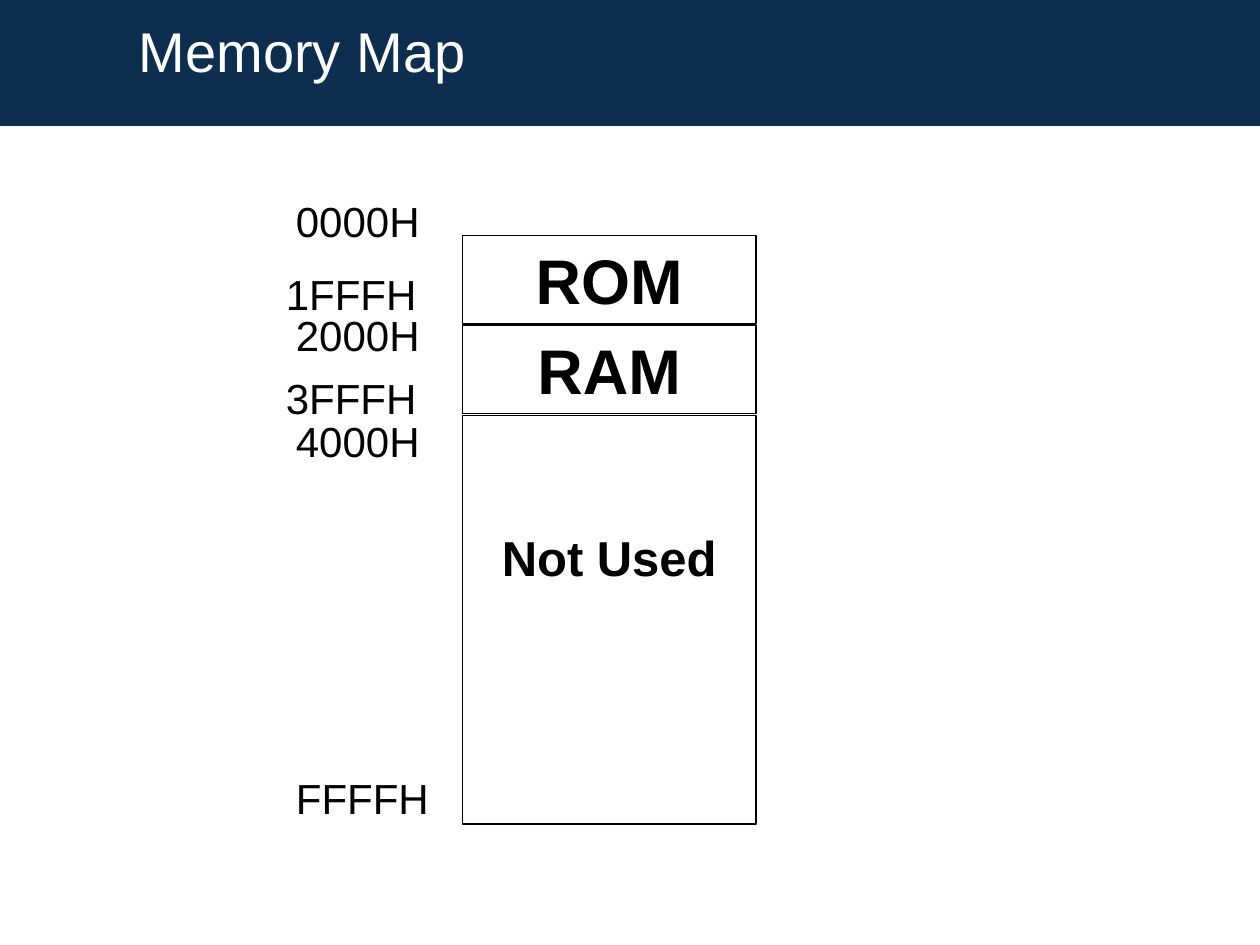
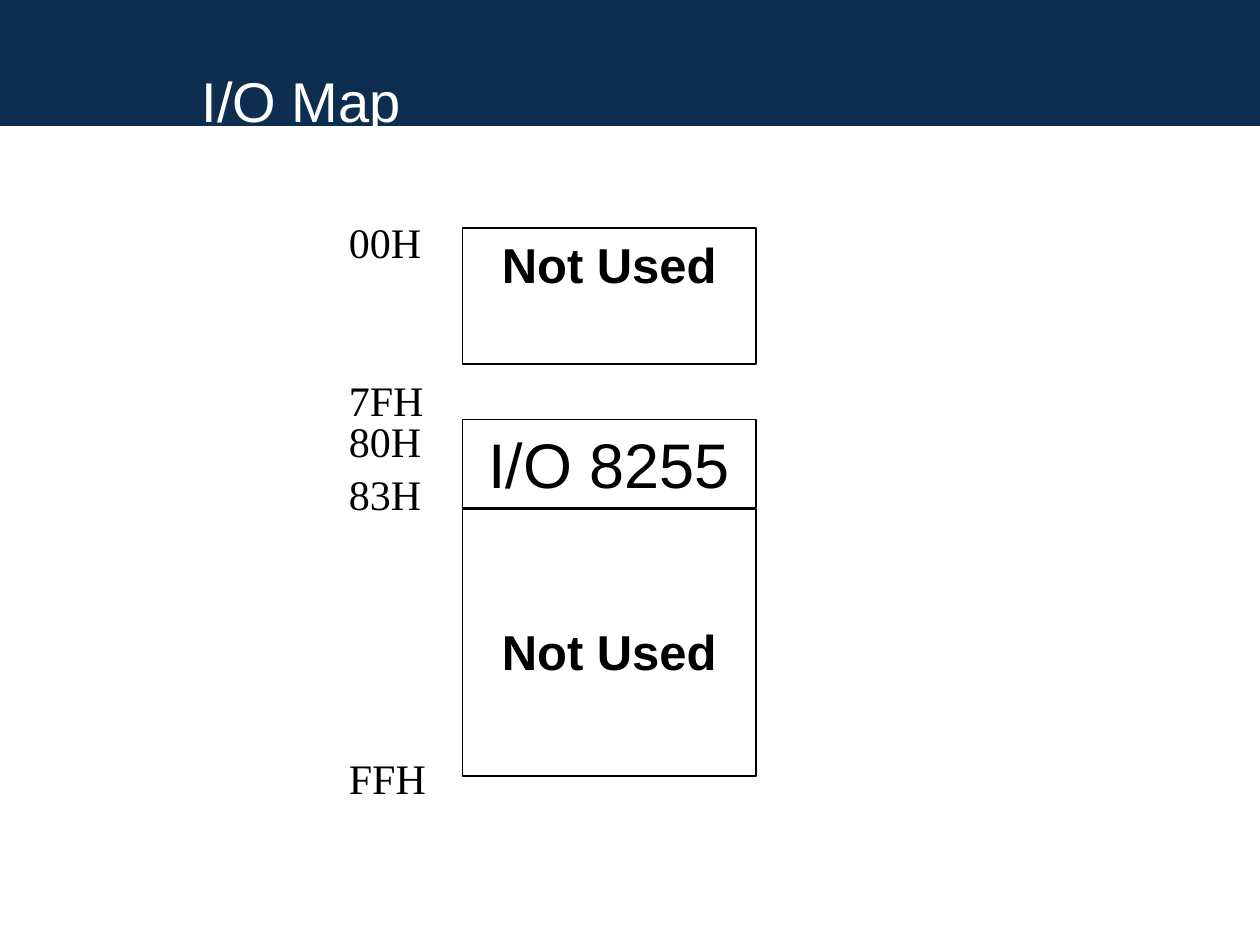
"""Build the memory map and I/O map slides."""
from pptx import Presentation
from pptx.dml.color import RGBColor
from pptx.enum import shapes, text
from pptx.util import Inches, Pt

COLORS = {"band": "0D2E4F", "title": "FFFFFF", "ink": "000000"}
SLIDE_WIDTH, SLIDE_HEIGHT, BAND_HEIGHT = 10, 7.5, 1
TITLE_SIZE = (6.42, 0.75)
REGION_LEFT, REGION_WIDTH = 3.67, 2.33
LABEL_HEIGHT = 0.5
TOP_INSET, LOWERED_INSET = 0.05, 0.89

DEVICE = {"size": 36, "bold": True}
PLAIN_DEVICE = {"size": 36}
UNUSED = {"size": 28, "bold": True}
UNUSED_LOWERED = {**UNUSED, "top_inset": LOWERED_INSET}

# Regions: name, top, height, format. Addresses: name, left, top, width.
MAPS = [
    {
        "title": "Memory Map",
        "title_at": (1, 0.02),
        "address_font": "Arial",
        "regions": [
            ("ROM", 1.87, 0.7, DEVICE),
            ("RAM", 2.58, 0.7, DEVICE),
            ("Not Used", 3.3, 3.24, UNUSED_LOWERED),
        ],
        "addresses": [
            ("0000H", 2.25, 1.5, 1.33),
            ("1FFFH", 2.17, 2.08, 1.23),
            ("2000H", 2.25, 2.41, 1.18),
            ("3FFFH", 2.17, 2.91, 1.23),
            ("4000H", 2.25, 3.25, 1.18),
            ("FFFFH", 2.25, 6.08, 1.25),
        ],
    },
    {
        "title": "I/O Map",
        "title_at": (1.5, 0.42),
        "address_font": "Times New Roman",
        "regions": [
            ("Not Used", 1.81, 1.08, UNUSED),
            ("I/O 8255", 3.33, 0.7, PLAIN_DEVICE),
            ("Not Used", 4.04, 2.12, UNUSED_LOWERED),
        ],
        "addresses": [
            ("00H", 2.67, 1.67, 0.83),
            ("7FH", 2.67, 2.92, 0.79),
            ("80H", 2.67, 3.25, 0.77),
            ("83H", 2.67, 3.67, 0.77),
            ("FFH", 2.67, 5.92, 0.81),
        ],
    },
]


def color(name):
    return RGBColor.from_string(COLORS[name])


def write(holder, words, size=24, font="Arial", ink="ink", bold=False,
          align=text.PP_ALIGN.LEFT, anchor=text.MSO_ANCHOR.TOP,
          wrap=True, top_inset=TOP_INSET):
    frame = holder.text_frame
    frame.auto_size = text.MSO_AUTO_SIZE.NONE
    frame.word_wrap = wrap
    frame.vertical_anchor = anchor
    frame.margin_left = frame.margin_right = Inches(0.1)
    frame.margin_top, frame.margin_bottom = Inches(top_inset), Inches(0.05)
    paragraph = frame.paragraphs[0]
    paragraph.alignment = align
    run = paragraph.add_run()
    run.text = words
    run.font.size, run.font.name, run.font.bold = Pt(size), font, bold
    run.font.color.rgb = color(ink)


def add_rectangle(slide, left, top, width, height):
    rectangle = slide.shapes.add_shape(
        shapes.MSO_SHAPE.RECTANGLE, *map(Inches, (left, top, width, height)))
    rectangle.shadow.inherit = False
    return rectangle


def add_layout_band(slide):
    band = add_rectangle(slide, 0, 0, SLIDE_WIDTH, BAND_HEIGHT)
    band.fill.solid()
    band.fill.fore_color.rgb = color("band")
    band.line.fill.background()
    slide.slide_layout.shapes.element.insert(2, band.element)


def add_region(slide, name, top, height, style):
    region = add_rectangle(slide, REGION_LEFT, top, REGION_WIDTH, height)
    region.fill.background()
    region.line.color.rgb = color("ink")
    region.line.width = Pt(0.75)
    write(region, name, align=text.PP_ALIGN.CENTER, **style)


def add_address(slide, name, left, top, width, font):
    address = slide.shapes.add_textbox(
        *map(Inches, (left, top, width, LABEL_HEIGHT)))
    write(address, name, font=font, wrap=False)


def add_map(deck, content):
    slide = deck.slides.add_slide(deck.slide_layouts[5])
    title = slide.shapes.title
    title.left, title.top = map(Inches, content["title_at"])
    title.width, title.height = map(Inches, TITLE_SIZE)
    write(title, content["title"], size=32, ink="title",
          anchor=text.MSO_ANCHOR.MIDDLE)
    for region in content["regions"]:
        add_region(slide, *region)
    for address in content["addresses"]:
        add_address(slide, *address, font=content["address_font"])
    return slide


def main():
    deck = Presentation()
    deck.slide_width, deck.slide_height = Inches(SLIDE_WIDTH), Inches(SLIDE_HEIGHT)
    slides = [add_map(deck, content) for content in MAPS]
    add_layout_band(slides[0])
    deck.save("out.pptx")


if __name__ == "__main__":
    main()
